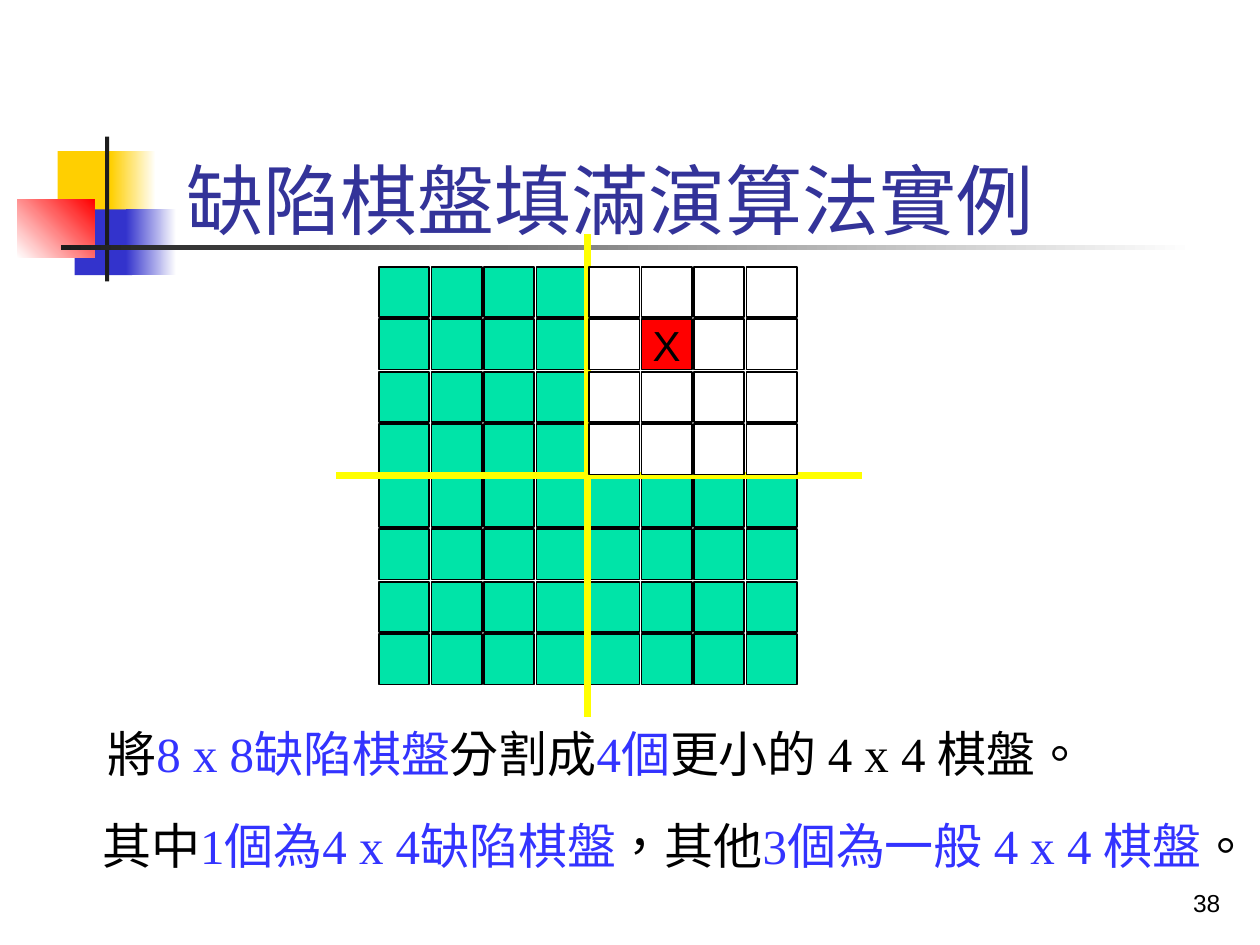
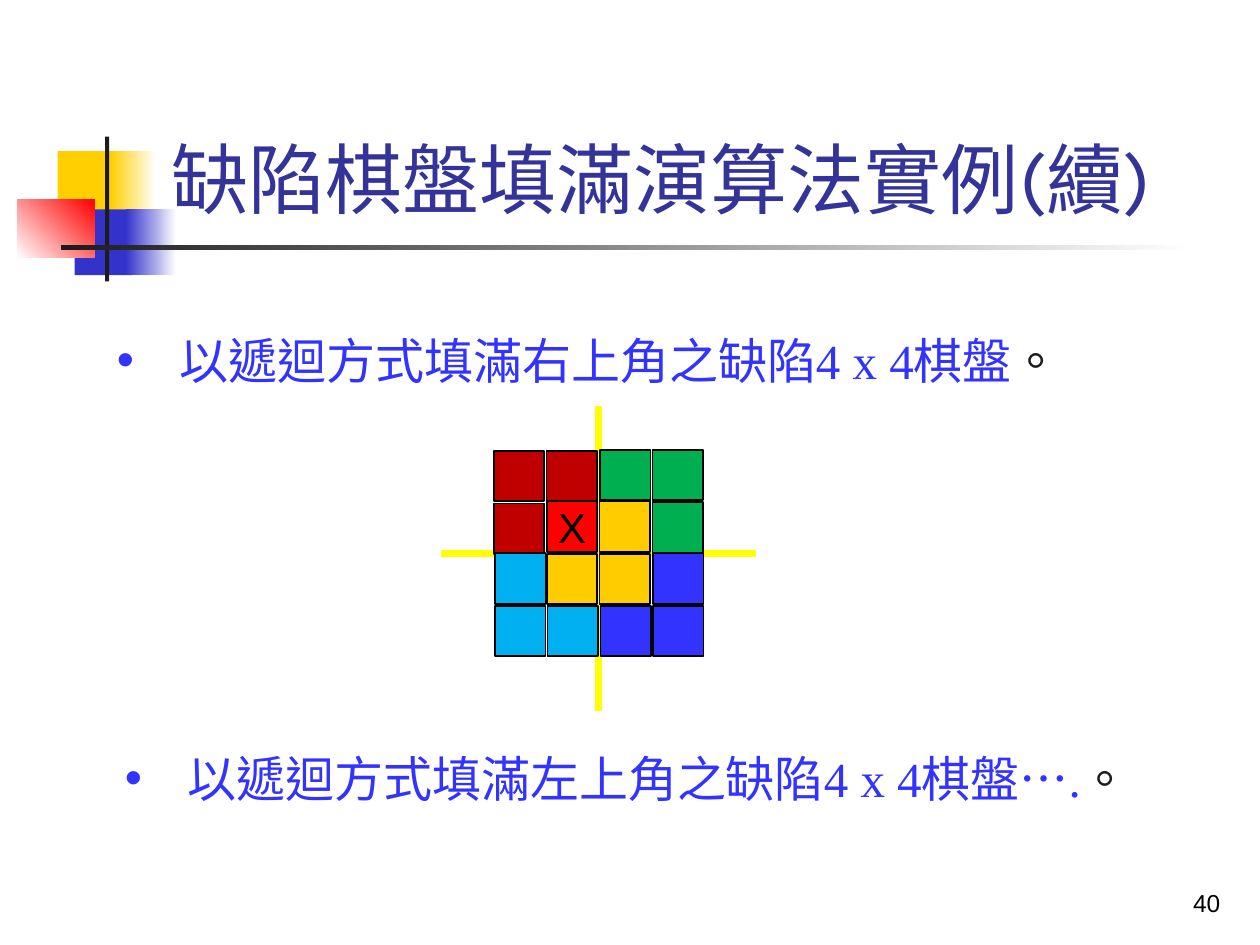
import pptx
import pptx.dml.color
import pptx.enum.shapes
import pptx.enum.text
import pptx.oxml.ns
import pptx.util
from lxml import etree

PX = 3810  # EMU per px, 240 px to the inch
WIDE, HIGH = 2400, 1800
PITCH, CELL = 100, 96


class Theme:
    black, ink, white = "000000", "1C1C1C", "FFFFFF"
    title, blue, cross = "333399", "3333FF", "FFFF00"
    gold, navy, red = "FFCF01", "3333CC", "FF0000"
    head, body, mark, foot = 44, 28, 24, 14
    face, serif, sans = "Karla", "Times New Roman", "Arial"
    # one letter for each kind of board cell
    cells = {"T": "00E4A8", "W": white, "X": red, "Y": "FFCC00",
             "R": "C00000", "G": "00B050", "C": "00B0F0", "B": blue}


# Shared bands: box, colours (two make a gradient), angle
BANDS = [
    ((110, 288, 115, 125), (Theme.gold,), 0),
    ((211, 288, 86, 125), (Theme.gold, Theme.white), 0),
    ((142, 399, 110, 125), (Theme.navy,), 0),
    ((240, 399, 96, 125), (Theme.navy, Theme.white), 0),
    ((33, 380, 147, 111), (Theme.white, Theme.red), 45),
    ((200, 260, 8, 276), (Theme.ink,), 0),
    ((116, 467, 2160, 9), (Theme.ink, Theme.white), 0),
]
FOOT = (1849, 1639, 499, 120)

# Boards are layers of (rows, shift by letter), under or over the cross
SLIDES = [
    {
        "title": ("缺陷棋盤填滿演算法實例", (331, 238, 2059, 240)),
        "page": "38",
        "start": (722, 508),
        "under": [(["TTTT...."] * 4 + ["TTTTTTTT"] * 4, {})],
        "over": [(["....WWWW", "....WXWW", "....WWWW", "....WWWW"], {})],
        "cross": [(1120, 446, 1120, 1366), (641, 906, 1641, 906)],
        "bullet": False,
        "notes": [
            ((181, 1366, 2141, 137), [
                ("將", Theme.black), ("8 x 8缺陷棋盤", Theme.blue),
                ("分割成", Theme.black), ("4個", Theme.blue),
                ("更小的 4 x 4 棋盤。", Theme.black)]),
            ((171, 1541, 2184, 137), [
                ("其中", Theme.black), ("1個為4 x 4缺陷棋盤", Theme.blue),
                ("，其他", Theme.black), ("3個為一般 4 x 4 棋盤", Theme.blue),
                ("。", Theme.black)]),
        ],
    },
    {
        "title": ("缺陷棋盤填滿演算法實例(續)", (303, 55, 1956, 384)),
        "page": "40",
        "start": (942, 855),
        "under": [],
        "over": [
            (["....", ".XY.", ".YY."], {}),
            (["RRGG", "R..G", "C..B", "CCBB"],
             {"R": (-1, 4), "G": (1, 2), "C": (1, -1), "B": (2, -1)}),
        ],
        "cross": [(1140, 773, 1140, 1354), (840, 1054, 1440, 1054)],
        "bullet": True,
        "notes": [
            ((199, 617, 2141, 137), [
                ("以遞迴方式填滿右上角之缺陷4 x 4棋盤", Theme.blue),
                ("。", Theme.ink)]),
            ((214, 1414, 2141, 137), [
                ("以遞迴方式填滿左上角之缺陷4 x 4棋盤….", Theme.blue),
                ("。", Theme.ink)]),
        ],
    },
]


def emu(box):
    return [pptx.util.Emu(n * PX) for n in box]


def rgb(code):
    return pptx.dml.color.RGBColor.from_string(code)


def style(run, size, face, color):
    run.font.size = pptx.util.Pt(size)
    run.font.name = face
    run.font.color.rgb = rgb(color)
    run.font._element.set("lang", "zh-TW")


def rect(shapes, box, colors, angle=0):
    kind = pptx.enum.shapes.MSO_SHAPE.RECTANGLE
    shape = shapes.add_shape(kind, *emu(box))
    shape.shadow.inherit = False
    shape.line.fill.background()
    if len(colors) == 1:
        shape.fill.solid()
        shape.fill.fore_color.rgb = rgb(colors[0])
    else:
        shape.fill.gradient()
        shape.fill.gradient_angle = angle
        for stop, color in zip(shape.fill.gradient_stops, colors):
            stop.color.rgb = rgb(color)
    return shape


def label(slide, box, runs, size, face, low=False):
    frame = slide.shapes.add_textbox(*emu(box)).text_frame
    frame.word_wrap = True
    anchor = pptx.enum.text.MSO_ANCHOR
    frame.vertical_anchor = anchor.BOTTOM if low else anchor.TOP
    para = frame.paragraphs[0]
    for text, color in runs:
        run = para.add_run()
        run.text = text
        style(run, size, face, color)
    return para


def bullet(para):
    props = para._p.get_or_add_pPr()
    props.set("marL", str(120 * PX))
    props.set("indent", str(-120 * PX))
    for tag, key, value in (("a:buFont", "typeface", Theme.sans),
                            ("a:buChar", "char", "•")):
        etree.SubElement(props, pptx.oxml.ns.qn(tag)).set(key, value)


def board(slide, start, rows, shifts):
    group = slide.shapes.add_group_shape()
    for row, line in enumerate(rows):
        for col, key in enumerate(line):
            if key == ".":
                continue
            dx, dy = shifts.get(key, (0, 0))
            left = start[0] + col * PITCH + dx
            top = start[1] + row * PITCH + dy
            cell = rect(group.shapes, (left, top, CELL, CELL),
                        (Theme.cells[key],))
            cell.line.color.rgb = rgb(Theme.black)
            cell.line.width = pptx.util.Pt(1)
            if key == "X":
                frame = cell.text_frame
                frame.text = key
                frame.word_wrap = False
                frame.vertical_anchor = pptx.enum.text.MSO_ANCHOR.MIDDLE
                para = frame.paragraphs[0]
                para.alignment = pptx.enum.text.PP_ALIGN.CENTER
                style(para.runs[0], Theme.mark, Theme.sans, Theme.black)


def cross(slide, ends):
    kind = pptx.enum.shapes.MSO_CONNECTOR.STRAIGHT
    for points in ends:
        line = slide.shapes.add_connector(kind, *emu(points))
        line.line.color.rgb = rgb(Theme.cross)
        line.line.width = pptx.util.Pt(4)
        props = line._element.spPr
        etree.SubElement(props, pptx.oxml.ns.qn("a:effectLst"))


def build(deck, data):
    slide = deck.slides.add_slide(deck.slide_layouts[6])
    # Bands and title
    for band in BANDS:
        rect(slide.shapes, *band)
    text, box = data["title"]
    label(slide, box, [(text, Theme.title)], Theme.head, Theme.face, True)
    # Board with its cross
    for layer in data["under"]:
        board(slide, data["start"], *layer)
    cross(slide, data["cross"])
    for layer in data["over"]:
        board(slide, data["start"], *layer)
    # Notes and page number
    for box, runs in data["notes"]:
        para = label(slide, box, runs, Theme.body, Theme.serif)
        if data["bullet"]:
            bullet(para)
    page = label(slide, FOOT, [(data["page"], Theme.black)],
                 Theme.foot, Theme.sans, True)
    page.alignment = pptx.enum.text.PP_ALIGN.RIGHT


def main():
    deck = pptx.Presentation()
    deck.slide_width, deck.slide_height = emu((WIDE, HIGH))
    for data in SLIDES:
        build(deck, data)
    deck.save("out.pptx")


if __name__ == "__main__":
    main()
